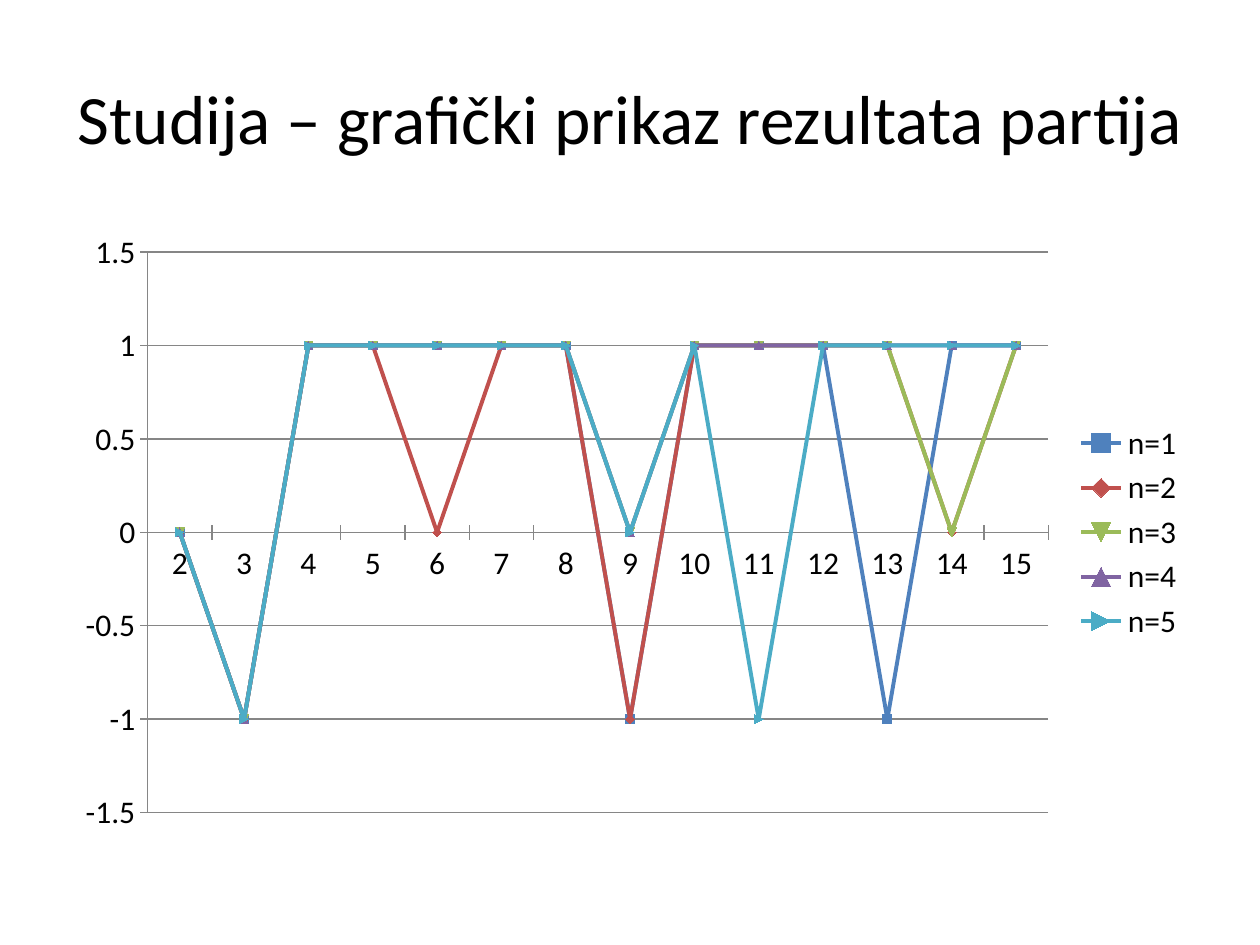
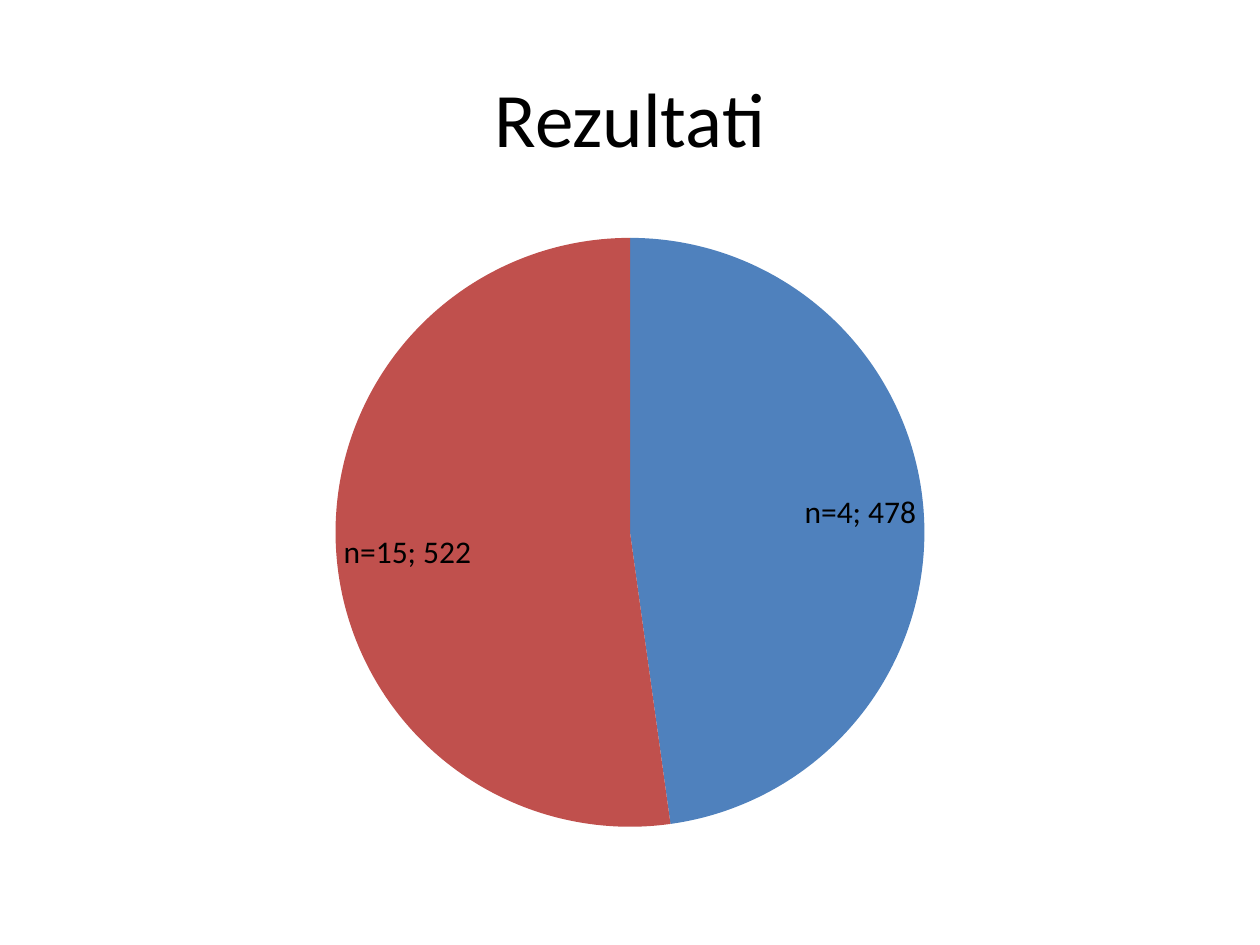
"""Build two result slides: a line chart of game outcomes and a pie of totals."""
from dataclasses import dataclass

from lxml import etree
from pptx import Presentation
from pptx import util as u
from pptx.chart.data import CategoryChartData
from pptx.dml.color import RGBColor
from pptx.enum import chart as ch
from pptx.enum import text
from pptx.oxml.ns import qn


@dataclass(frozen=True)
class Theme:
    font: str = "Calibri"
    ink: str = "000000"
    grid: str = "868686"
    accents: tuple = ("4F81BD", "C0504D", "9BBB59", "8064A2", "4BACC6")
    title_size: float = 44
    chart_size: float = 18
    title_box: tuple = (0.5, 0.3, 9, 1.25)
    chart_box: tuple = (0.5, 1.75, 9, 4.95)


class Deck:
    def __init__(self, theme):
        self.theme = theme
        self.prs = Presentation()
        self.prs.slide_width, self.prs.slide_height = u.Inches(10), u.Inches(7.5)
        self.slide = None

    def assign(self, obj, values):
        for name, value in values.items():
            setattr(obj, name, value)

    def style_font(self, font, size):
        self.assign(font, {"name": self.theme.font, "size": u.Pt(size), "bold": False})
        font.color.rgb = RGBColor.from_string(self.theme.ink)

    def style_line(self, line, color, width):
        line.color.rgb = RGBColor.from_string(color)
        line.width = u.Pt(width)

    def title_slide(self, title, size=None):
        self.slide = self.prs.slides.add_slide(self.prs.slide_layouts[5])
        sp = self.slide.shapes.title
        box = map(u.Inches, self.theme.title_box)
        self.assign(sp, dict(zip(("left", "top", "width", "height"), box)))
        tf = sp.text_frame
        self.assign(tf, {"word_wrap": True, "vertical_anchor": text.MSO_ANCHOR.MIDDLE})
        p = tf.paragraphs[0]
        p.alignment = text.PP_ALIGN.CENTER
        r = p.add_run()
        r.text = title
        self.style_font(r.font, size or self.theme.title_size)

    def chart(self, kind, categories, series):
        data = CategoryChartData()
        data.categories = categories
        for name, values in series.items():
            data.add_series(name, values)
        box = map(u.Inches, self.theme.chart_box)
        chart = self.slide.shapes.add_chart(kind, *box, data).chart
        self.assign(chart, {"has_title": False, "has_legend": False})
        self.style_font(chart.font, self.theme.chart_size)
        return chart

    def line_chart(self, categories, series):
        chart = self.chart(ch.XL_CHART_TYPE.LINE_MARKERS, categories, series)
        chart.has_legend = True
        self.assign(chart.legend, {"position": ch.XL_LEGEND_POSITION.RIGHT,
                                   "include_in_layout": False})
        for axis in (chart.category_axis, chart.value_axis):
            axis.major_tick_mark = ch.XL_TICK_MARK.CROSS
            self.style_line(axis.format.line, self.theme.grid, 0.75)
        chart.value_axis.has_major_gridlines = True
        self.style_line(chart.value_axis.major_gridlines.format.line, self.theme.grid, 0.75)
        chart.plots[0].vary_by_categories = False
        for ser, color in zip(chart.plots[0].series, self.theme.accents):
            ser.smooth = False
            self.style_line(ser.format.line, color, 2.25)

    def pie_chart(self, categories, series):
        chart = self.chart(ch.XL_CHART_TYPE.PIE, categories, series)
        plot = chart.plots[0]
        plot.vary_by_categories = True
        for i, color in enumerate(self.theme.accents[:len(categories)]):
            fill = plot.series[0].points[i].format.fill
            fill.solid()
            fill.fore_color.rgb = RGBColor.from_string(color)
        labels = plot.series[0].data_labels
        self.assign(labels, {"show_value": True, "show_category_name": True,
                             "show_percentage": False,
                             "position": ch.XL_LABEL_POSITION.INSIDE_END})
        self.style_font(labels.font, self.theme.chart_size)
        separator = etree.Element(qn("c:separator"))
        separator.text = "; "
        chart.element.find(".//" + qn("c:ser")).find(
            qn("c:dLbls") + "/" + qn("c:showBubbleSize")).addnext(separator)


deck = Deck(Theme())

deck.title_slide("Studija – grafički prikaz rezultata partija", 39.6)
deck.line_chart([str(n) for n in range(2, 16)], {
    "n=1": (0, -1, 1, 1, 1, 1, 1, -1, 1, 1, 1, -1, 1, 1),
    "n=2": (0, -1, 1, 1, 0, 1, 1, -1, 1, 1, 1, 1, 0, 1),
    "n=3": (0, -1, 1, 1, 1, 1, 1, 0, 1, 1, 1, 1, 0, 1),
    "n=4": (0, -1, 1, 1, 1, 1, 1, 0, 1, 1, 1, 1, 1, 1),
    "n=5": (0, -1, 1, 1, 1, 1, 1, 0, 1, -1, 1, 1, 1, 1),
})

deck.title_slide("Rezultati")
deck.pie_chart(["n=4", "n=15"], {"Series 1": (478, 522)})

deck.prs.save("out.pptx")
